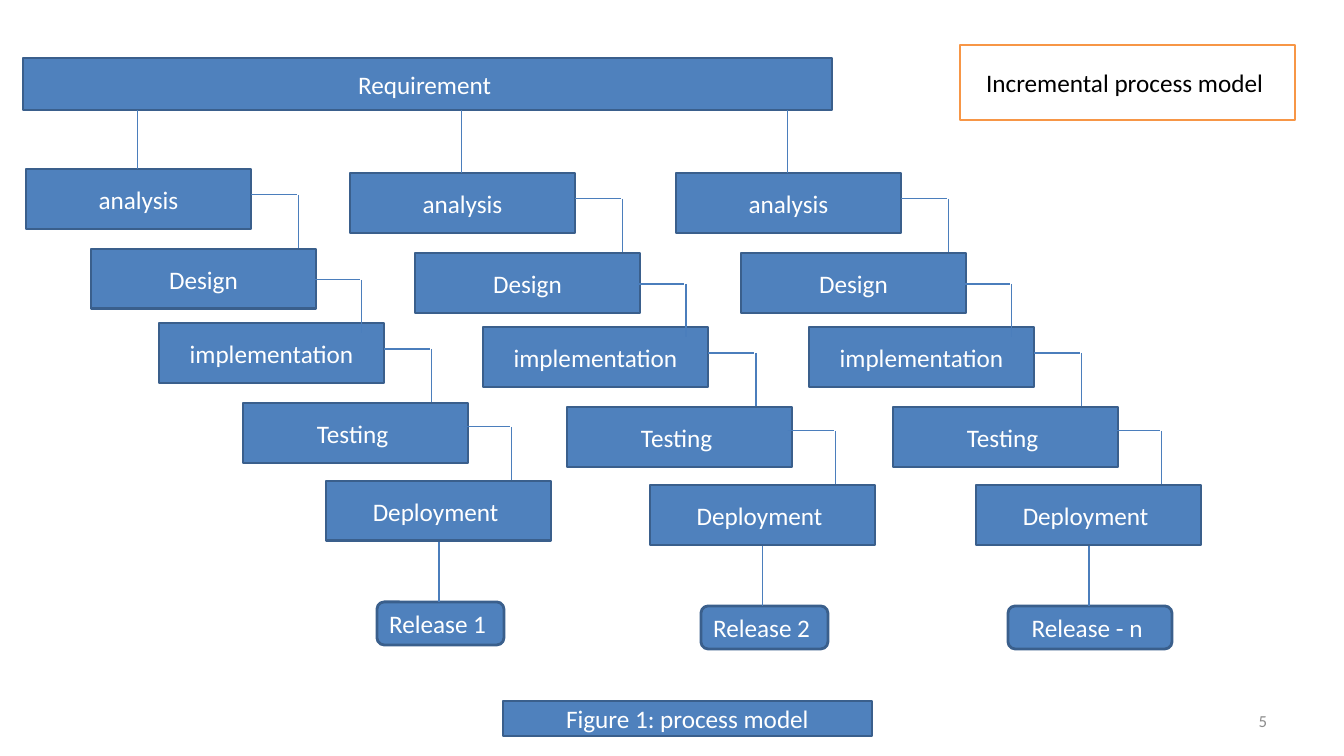
from lxml.etree import SubElement
from pptx import Presentation
from pptx.dml.color import RGBColor
from pptx.enum.shapes import MSO_CONNECTOR, MSO_SHAPE
from pptx.enum.text import MSO_ANCHOR, PP_ALIGN
from pptx.oxml.ns import qn
from pptx.util import Emu, Inches, Pt

SCALE = Inches(1) / 100.8
COLORS = {
    "blue": "4F81BD",
    "border": "3A5F8C",
    "link": "4B7EBC",
    "orange": "F79646",
    "white": "FFFFFF",
    "black": "000000",
    "grey": "8C8C8C",
}
STAGES = [
    ("analysis", 0, 0),
    ("Design ", 65, 80),
    ("implementation", 133, 154),
    ("Testing ", 217, 234),
    ("Deployment ", 300, 312),
]
STAGE_SIZE = (225, 60)
ELBOWS = [(225, 26), (288, 111), (358, 180), (438, 258)]
REQUIREMENT = (23, 58, 809, 52)
INCREMENTS = [
    ((26, 169), "Release 1 ", (351, 433, 127, 43)),
    ((350, 173), "Release 2 ", (351, 433, 127, 43)),
    ((676, 173), "Release - n ", (332, 433, 164, 43)),
]


def px(value):
    return Emu(round(value * SCALE))


def rgb(name):
    return RGBColor.from_string(COLORS[name])


def apply(target, formats):
    for name, value in formats.items():
        setattr(target, name, value)


def write(frame, text, color, size=18, align=PP_ALIGN.CENTER):
    apply(frame, {"word_wrap": True, "vertical_anchor": MSO_ANCHOR.MIDDLE})
    paragraph = frame.paragraphs[0]
    paragraph.alignment = align
    run = paragraph.add_run()
    run.text = text
    apply(run.font, {"name": "Calibri", "size": Pt(size)})
    run.font.color.rgb = rgb(color)


def add_box(slide, box, text, kind=MSO_SHAPE.RECTANGLE,
            fill="blue", border="border", ink="white"):
    block = slide.shapes.add_shape(kind, *map(px, box))
    block.shadow.inherit = False
    block.fill.solid()
    block.fill.fore_color.rgb = rgb(fill)
    block.line.color.rgb = rgb(border)
    block.line.width = Pt(2)
    write(block.text_frame, text, ink)


def add_link(slide, x1, y1, x2, y2):
    link = slide.shapes.add_connector(
        MSO_CONNECTOR.STRAIGHT, *map(px, (x1, y1, x2, y2)))
    link.line.color.rgb = rgb("link")
    link.line.width = Pt(0.75)
    SubElement(link._element.spPr, qn("a:effectLst"))


def add_increment(slide, origin, release, release_box):
    left, top = origin
    width, height = STAGE_SIZE
    for stage, dx, dy in STAGES:
        add_box(slide, (left + dx, top + dy, width, height), stage.strip()
                if stage.startswith("Design") else stage)
    for dx, dy in ELBOWS:
        x, y = left + dx, top + dy
        add_link(slide, x, y, x + 46, y)
        add_link(slide, x + 48, y, x + 48, y + 53)
    dx, dy, release_width, release_height = release_box
    add_box(slide, (left + dx, top + dy, release_width, release_height),
            release, MSO_SHAPE.ROUNDED_RECTANGLE)
    add_link(slide, left + 413, top + 373, left + 413, top + dy)
    feed = left + width // 2
    add_link(slide, feed, top, feed, REQUIREMENT[1] + REQUIREMENT[3])


def add_page_number(slide, box, number):
    page = slide.shapes.add_textbox(*map(px, box))
    write(page.text_frame, number, "grey", 12, PP_ALIGN.RIGHT)


def build_process_slide(slide):
    add_page_number(slide, (964, 701, 313, 40), "5")
    add_box(slide, REQUIREMENT, "Requirement ")
    for origin, release, release_box in INCREMENTS:
        add_increment(slide, origin, release, release_box)
    add_box(slide, (960, 45, 335, 75), "Incremental process model ",
            fill="white", border="orange", ink="black")
    add_box(slide, (503, 701, 369, 35), "Figure 1: process model")


deck = Presentation()
apply(deck, {"slide_width": px(1344), "slide_height": px(756)})
build_process_slide(deck.slides.add_slide(deck.slide_layouts[6]))
deck.save("out.pptx")
